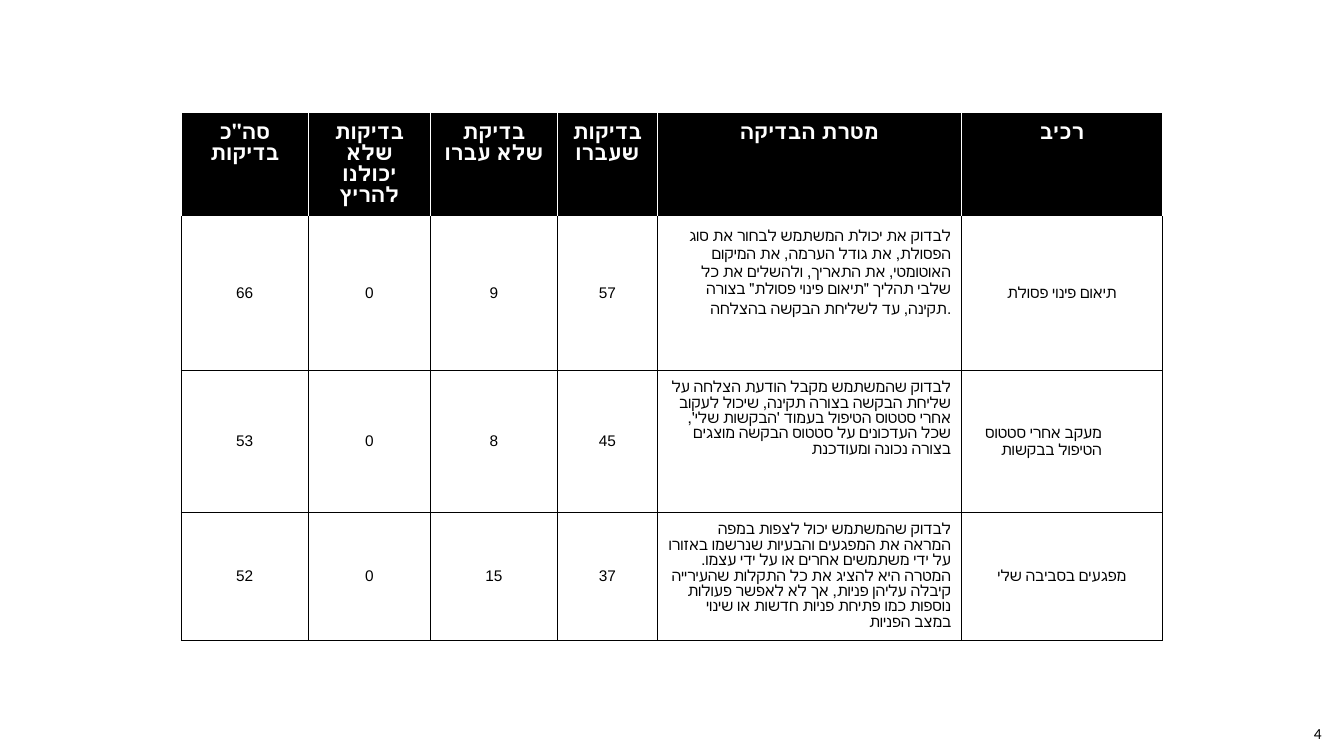
from pptx import Presentation
from pptx.dml.color import RGBColor
from pptx.enum.text import MSO_ANCHOR, PP_ALIGN
from pptx.oxml import parse_xml
from pptx.oxml.ns import nsdecls
from pptx.util import Pt

COLORS = {"ink": "000000", "paper": "FFFFFF"}
INSET = 7.2
COLUMN_WIDTHS = [90.7, 87.3, 90.7, 71.4, 217.2, 143.6]
ROW_HEIGHTS = [73.6, 109.5, 101.5, 91.4]
PURPOSE, COMPONENT = 4, 5

HEADINGS = ['סה"כ בדיקות', "בדיקות שלא יכולנו להריץ", "בדיקת שלא עברו",
            "בדיקות שעברו", "מטרת הבדיקה", "רכיב"]
RESULTS = [
    ["66", "0", "9", "57",
     "לבדוק את יכולת המשתמש לבחור את סוג הפסולת, את גודל הערמה, את המיקום "
     "האוטומטי, את התאריך, ולהשלים את כל שלבי תהליך \"תיאום פינוי פסולת\" "
     "בצורה תקינה, עד לשליחת הבקשה בהצלחה.",
     "תיאום פינוי פסולת"],
    ["53", "0", "8", "45",
     "לבדוק שהמשתמש מקבל הודעת הצלחה על שליחת הבקשה בצורה תקינה, שיכול לעקוב "
     "אחרי סטטוס הטיפול בעמוד 'הבקשות שלי', שכל העדכונים על סטטוס הבקשה "
     "מוצגים בצורה נכונה ומעודכנת",
     "מעקב אחרי סטטוס הטיפול בבקשות"],
    ["52", "0", "15", "37",
     "לבדוק שהמשתמש יכול לצפות במפה המראה את המפגעים והבעיות שנרשמו באזורו על "
     "ידי משתמשים אחרים או על ידי עצמו. המטרה היא להציג את כל התקלות שהעירייה "
     "קיבלה עליהן פניות, אך לא לאפשר פעולות נוספות כמו פתיחת פניות חדשות או "
     "שינוי במצב הפניות",
     "מפגעים בסביבה שלי"],
]


def write(paragraph, wording, size, color, font_name="Arial", bold=False,
          align=PP_ALIGN.CENTER, rtl=False):
    paragraph.text = wording
    paragraph.alignment = align
    if rtl:
        paragraph._p.get_or_add_pPr().set("rtl", "1")
    for run in paragraph.runs:
        run.font.size = Pt(size)
        run.font.bold = bold
        run.font.color.rgb = RGBColor.from_string(COLORS[color])
        run.font.name = font_name


def set_insets(holder):
    holder.margin_left = holder.margin_right = Pt(INSET)
    holder.margin_top = holder.margin_bottom = Pt(INSET)


def set_borders(cell, color, top_color):
    properties = cell._tc.get_or_add_tcPr()
    for position, side in enumerate("LRTB"):
        line_color = COLORS[top_color if side == "T" else color]
        properties.insert(position, parse_xml(
            f'<a:ln{side} {nsdecls("a")} w="{Pt(0.75)}"><a:solidFill>'
            f'<a:srgbClr val="{line_color}"/></a:solidFill></a:ln{side}>'))


def space_out(paragraph):
    paragraph.line_spacing = 1.15
    paragraph.space_before = Pt(12)


def fill_heading(cell, wording):
    cell.fill.solid()
    cell.fill.fore_color.rgb = RGBColor.from_string(COLORS["ink"])
    set_borders(cell, "paper", "paper")
    write(cell.text_frame.paragraphs[0], wording, 15, "paper", bold=True, rtl=True)


def fill_result(cell, wording, row, column):
    cell.fill.background()
    set_borders(cell, "ink", "paper" if row == 1 else "ink")
    if column != PURPOSE:
        cell.vertical_anchor = MSO_ANCHOR.MIDDLE
    indented = (row, column) == (2, COMPONENT)
    opening_purpose = (row, column) == (1, PURPOSE)
    paragraph = cell.text_frame.paragraphs[0]
    write(paragraph, wording, 11, "ink",
          align=PP_ALIGN.RIGHT if indented or column == PURPOSE else PP_ALIGN.CENTER,
          rtl=column >= PURPOSE and not opening_purpose)
    if indented or opening_purpose:
        space_out(paragraph)
    if indented:
        paragraph._p.get_or_add_pPr().set("marL", str(Pt(36)))
        paragraph._p.get_or_add_pPr().set("indent", "0")


def add_results_table(slide, left, top):
    results = slide.shapes.add_table(
        len(ROW_HEIGHTS), len(COLUMN_WIDTHS), Pt(left), Pt(top),
        Pt(sum(COLUMN_WIDTHS)), Pt(sum(ROW_HEIGHTS))).table
    results.first_row = results.horz_banding = False
    for column, width in zip(results.columns, COLUMN_WIDTHS):
        column.width = Pt(width)
    for row, height in zip(results.rows, ROW_HEIGHTS):
        row.height = Pt(height)
    for row, wordings in enumerate([HEADINGS, *RESULTS]):
        for column, wording in enumerate(wordings):
            cell = results.cell(row, column)
            set_insets(cell)
            if row == 0:
                fill_heading(cell, wording)
            else:
                fill_result(cell, wording, row, column)


def add_page_number(slide, left, top, width, height):
    frame = slide.shapes.add_textbox(Pt(left), Pt(top), Pt(width), Pt(height)).text_frame
    frame.word_wrap = True
    frame.vertical_anchor = MSO_ANCHOR.MIDDLE
    set_insets(frame)
    write(frame.paragraphs[0], "4", 11, "ink", font_name="Calibri")


def main():
    deck = Presentation()
    deck.slide_width, deck.slide_height = Pt(960), Pt(540)
    slide = deck.slides.add_slide(deck.slide_layouts[6])
    add_results_table(slide, 129.5, 80.5)
    add_page_number(slide, 922.5, 507.5, 37.5, 32.5)
    deck.save("out.pptx")


if __name__ == "__main__":
    main()
